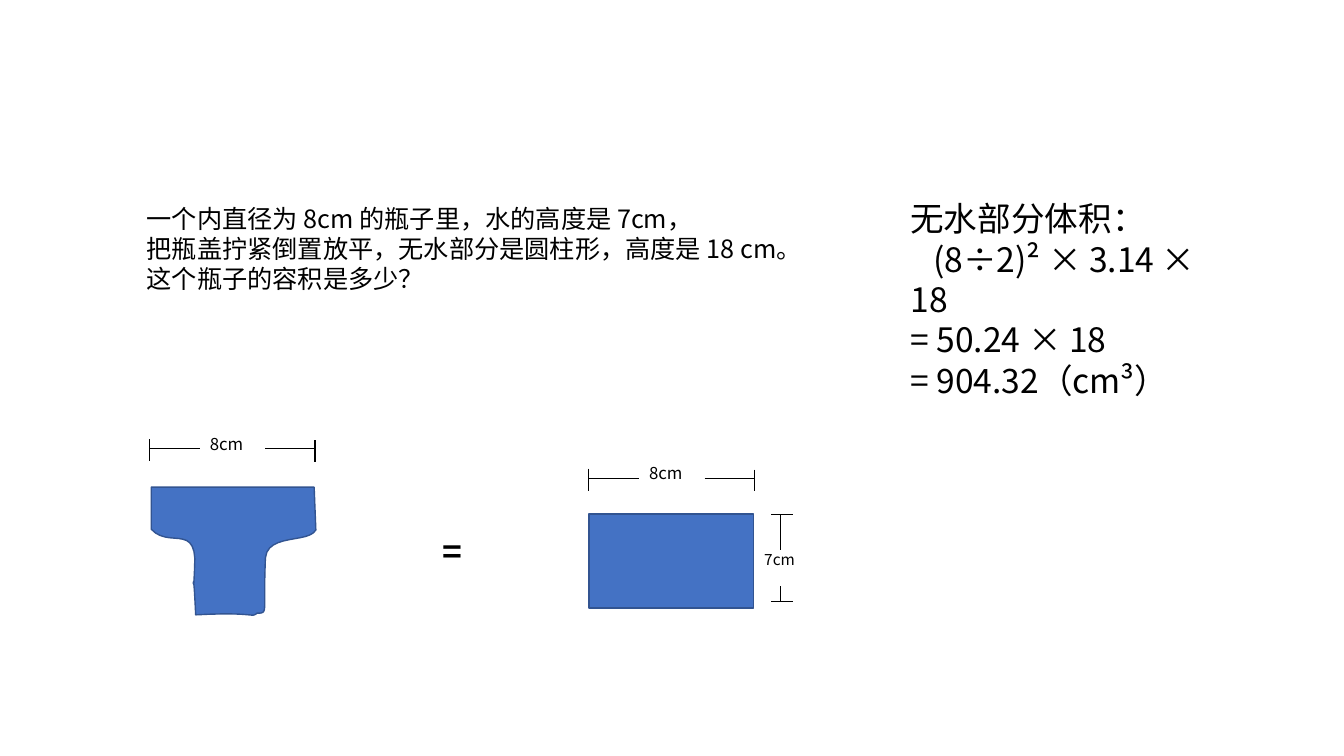
"""Build the slide that finds the volume of a bottle from two water heights."""
from dataclasses import dataclass
from typing import NamedTuple

import pptx
from lxml import etree
from pptx import util as u
from pptx.dml import color
from pptx.enum import shapes, text
from pptx.oxml import ns

COLUMNS, ROWS = 160, 90
WIDTH, HEIGHT = 12192000, 6858000
CURVE_STEPS = 12


@dataclass(frozen=True)
class Theme:
    font: str = "Noto Sans CJK SC"
    ink: str = "000000"
    water: str = "4472C4"
    edge: str = "325491"
    problem_size: float = 18
    solution_size: float = 24
    label_size: float = 12
    height_label_size: float = 11
    thick: float = 1
    thin: float = 0.5


class Point(NamedTuple):
    column: float
    row: float


class Area(NamedTuple):
    column: float
    row: float
    columns: float
    rows: float


class Stroke(NamedTuple):
    start: Point
    end: Point
    weight: float


class Curve(NamedTuple):
    first: Point
    second: Point
    end: Point


@dataclass(frozen=True)
class Dimension:
    origin: Point
    label: str
    label_area: Area
    size: float
    strokes: tuple[Stroke, ...]


THEME = Theme()


def across(columns: float) -> int:
    return round(columns * WIDTH / COLUMNS)


def down(rows: float) -> int:
    return round(rows * HEIGHT / ROWS)


def place(area: Area) -> tuple[int, int, int, int]:
    return across(area.column), down(area.row), across(area.columns), down(area.rows)


def add_text(parent, area: Area, lines: list[str], *, size: float,
             bold: bool = False, indents: dict[int, float] | None = None) -> None:
    box = parent.add_textbox(*place(area))
    frame = box.text_frame
    frame.word_wrap = True
    frame.auto_size = text.MSO_AUTO_SIZE.SHAPE_TO_FIT_TEXT
    for index, line in enumerate(lines):
        para = frame.add_paragraph() if index else frame.paragraphs[0]
        if indents and index in indents:
            properties = para._p.get_or_add_pPr()
            properties.set("marL", "0")
            properties.set("indent", str(across(indents[index])))
        span = para.add_run()
        span.text = line
        span.font.size = u.Pt(size)
        span.font.bold = bold
        span.font.name = THEME.font
        span.font.color.rgb = color.RGBColor.from_string(THEME.ink)
        east_asian = etree.SubElement(span.font._element, ns.qn("a:ea"))
        east_asian.set("typeface", THEME.font)


def paint_water(shape) -> None:
    shape.shadow.inherit = False
    shape.fill.solid()
    shape.fill.fore_color.rgb = color.RGBColor.from_string(THEME.water)
    shape.line.color.rgb = color.RGBColor.from_string(THEME.edge)
    shape.line.width = u.Pt(THEME.thick)


def add_stroke(parent, origin: Point, stroke: Stroke) -> None:
    ends = [(across(origin.column + point.column), down(origin.row + point.row))
            for point in (stroke.start, stroke.end)]
    line = parent.add_connector(shapes.MSO_CONNECTOR.STRAIGHT, *ends[0], *ends[1])
    line.line.color.rgb = color.RGBColor.from_string(THEME.ink)
    line.line.width = u.Pt(stroke.weight)
    etree.SubElement(line._element.spPr, ns.qn("a:effectLst"))


def add_dimension(page, dimension: Dimension) -> None:
    group = page.shapes.add_group_shape().shapes
    column, row, columns, rows = dimension.label_area
    origin = dimension.origin
    area = Area(origin.column + column, origin.row + row, columns, rows)
    add_text(group, area, [dimension.label], size=dimension.size)
    for stroke in dimension.strokes:
        add_stroke(group, origin, stroke)


def curve_points(start: Point, curve: Curve) -> list[Point]:
    points = []
    for step in range(1, CURVE_STEPS + 1):
        t = step / CURVE_STEPS
        weights = ((1 - t) ** 3, 3 * t * (1 - t) ** 2, 3 * t * t * (1 - t), t ** 3)
        knots = (start, *curve)
        points.append(Point(sum(w * k.column for w, k in zip(weights, knots)),
                            sum(w * k.row for w, k in zip(weights, knots))))
    return points


def add_bottle(page, start: Point, curves: list[Curve], corners: list[Point]) -> None:
    outline = [start]
    for curve in curves:
        outline += curve_points(outline[-1], curve)
    outline += corners
    vertices = [(across(point.column), down(point.row)) for point in outline]
    builder = page.shapes.build_freeform(*vertices[0])
    builder.add_line_segments(vertices[1:], close=True)
    paint_water(builder.convert_to_shape())


BOTTLE_START = Point(37.6, 63.1)
BOTTLE_CURVES = [
    Curve(Point(36.7, 64.7), Point(31.9, 63.5), Point(31.6, 66.4)),
    Curve(Point(31.3, 73), Point(32, 73), Point(30.6, 73)),
    Curve(Point(29.9, 73.6), Point(30.4, 72.8), Point(23.3, 73.2)),
    Curve(Point(22.9, 64.8), Point(23, 73.6), Point(23.2, 66.5)),
    Curve(Point(23, 62.6), Point(20, 65.2), Point(18, 63)),
]
BOTTLE_CORNERS = [Point(18, 58), Point(37.4, 58)]

WIDTH_STROKES = (
    Stroke(Point(0, 0), Point(0, 2.6), THEME.thick),
    Stroke(Point(19.7, 0.1), Point(19.7, 2.7), THEME.thick),
    Stroke(Point(0, 1.1), Point(6, 1.1), THEME.thin),
    Stroke(Point(13.8, 1.1), Point(19.8, 1.1), THEME.thin),
)
HEIGHT_STROKES = (
    Stroke(Point(0, 0), Point(2.6, 0), THEME.thin),
    Stroke(Point(0, 10.4), Point(2.6, 10.4), THEME.thin),
    Stroke(Point(1.1, 0), Point(1.1, 4.3), THEME.thin),
    Stroke(Point(1.1, 8.6), Point(1.1, 10.4), THEME.thin),
)
DIMENSIONS = [
    *(Dimension(origin, "8cm", Area(6, -1.3, 8.4, 4.9), THEME.label_size, WIDTH_STROKES)
      for origin in (Point(17.8, 52.3), Point(70.1, 55.8))),
    Dimension(Point(91.8, 61.2), "7cm", Area(-2, 3.7, 7.3, 4.3),
              THEME.height_label_size, HEIGHT_STROKES),
]


def main() -> None:
    deck = pptx.Presentation()
    deck.slide_width, deck.slide_height = WIDTH, HEIGHT
    page = deck.slides.add_slide(deck.slide_layouts[6])
    add_text(page.shapes, Area(16.3, 23.6, 80.9, 12.1),
             ["一个内直径为 8cm 的瓶子里，水的高度是 7cm，",
              "把瓶盖拧紧倒置放平，无水部分是圆柱形，高度是 18 cm。",
              "这个瓶子的容积是多少？"], size=THEME.problem_size)
    add_bottle(page, BOTTLE_START, BOTTLE_CURVES, BOTTLE_CORNERS)
    cylinder = Area(70.1, 61.2, 19.6, 11.2)
    paint_water(page.shapes.add_shape(shapes.MSO_SHAPE.RECTANGLE, *place(cylinder)))
    add_text(page.shapes, Area(51.5, 62.6, 5.3, 6), ["="],
             size=THEME.solution_size, bold=True)
    for dimension in DIMENSIONS:
        add_dimension(page, dimension)
    add_text(page.shapes, Area(107.2, 23, 37.8, 25.4),
             ["无水部分体积：", "(8÷2)² × 3.14 × 18", "= 50.24 × 18", "= 904.32（cm³）"],
             size=THEME.solution_size, indents={1: 2.7})
    deck.save("out.pptx")


if __name__ == "__main__":
    main()
